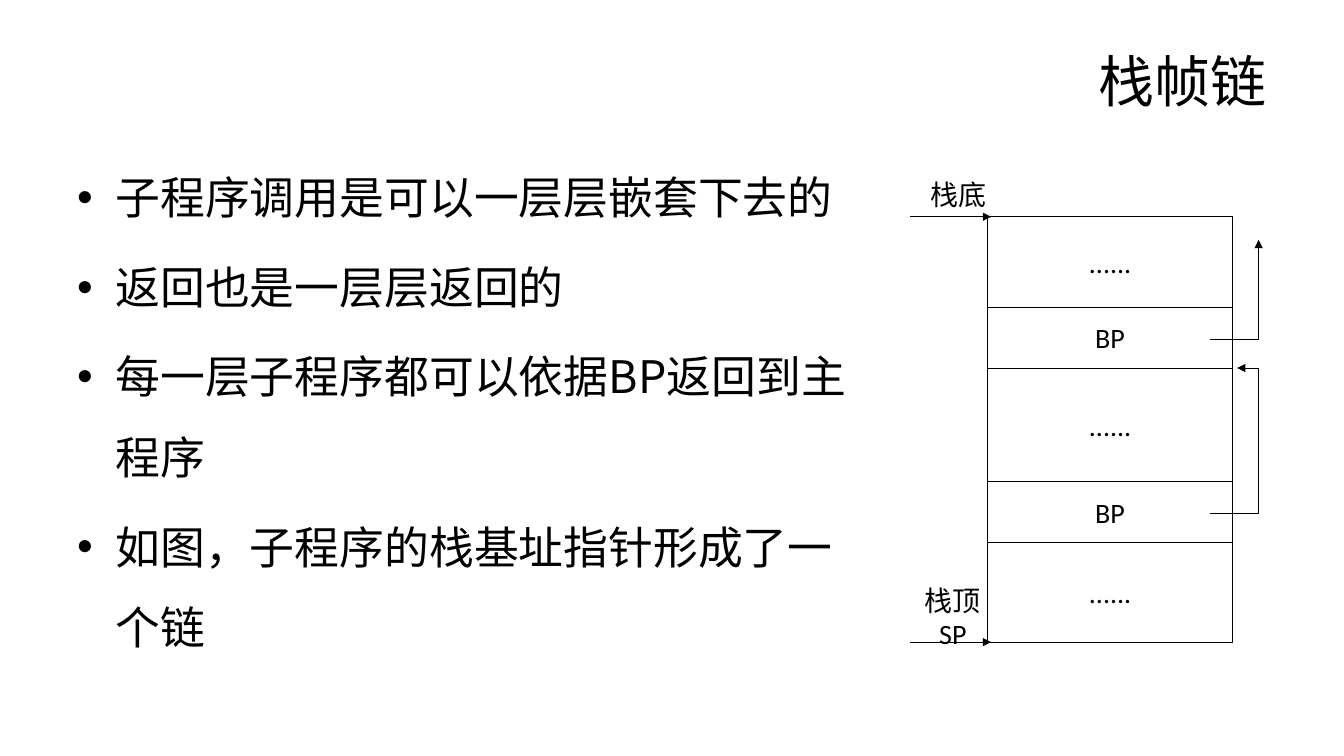
"""Builds the slide on chained stack frames."""
from lxml import etree
from pptx import Presentation
from pptx.dml.color import RGBColor
from pptx.enum.shapes import MSO_CONNECTOR, MSO_SHAPE
from pptx.enum.text import MSO_ANCHOR, PP_ALIGN
from pptx.oxml.ns import qn
from pptx.util import Emu, Inches, Pt

STRAIGHT, RECTANGLE = MSO_CONNECTOR.STRAIGHT, MSO_SHAPE.RECTANGLE
TOP, MIDDLE = MSO_ANCHOR.TOP, MSO_ANCHOR.MIDDLE
LEFT, CENTER, RIGHT = PP_ALIGN.LEFT, PP_ALIGN.CENTER, PP_ALIGN.RIGHT

BULLETS = [
    "子程序调用是可以一层层嵌套下去的",
    "返回也是一层层返回的",
    "每一层子程序都可以依据BP返回到主程序",
    "如图，子程序的栈基址指针形成了一个链",
]
FRAMES = [("......", 12), ("BP", 8), ("......", 15.07), ("BP", 8), ("......", 13.2)]
STACK_LEFT, STACK_TOP, STACK_WIDTH = 73.5, 28.67, 18.2
CHAIN_LEFT, CHAIN_RIGHT, CHAIN_TIP = 90, 93.65, 92.05
POINTER_LEFT, POINTER_RIGHT = 67.7, 73.75


def colour(value):
    """Turn a hex string into a colour."""
    return RGBColor.from_string(value)


class SlideBuilder:
    """Holds the style and the slide; lengths are percents of the slide's size."""

    ink = "000000"
    label_font, title_font, body_font = "Calibri", "Arial", "Noto Sans CJK SC"
    label_size, title_size, body_size = 20, 40, 32
    line_width = 0.5

    def __init__(self, deck):
        """Add a title-only slide to the deck."""
        self.deck = deck
        self.page = deck.slides.add_slide(deck.slide_layouts[5])

    def across(self, share):
        """Convert a percent of the slide's width."""
        return Emu(round(self.deck.slide_width * share / 100))

    def down(self, share):
        """Convert a percent of the slide's height."""
        return Emu(round(self.deck.slide_height * share / 100))

    def area(self, left, top, width, height):
        """Convert a rectangle given in percents."""
        return self.across(left), self.down(top), self.across(width), self.down(height)

    def add_span(self, para, text, font, size, align):
        """Add one styled run to a paragraph."""
        para.alignment = align
        span = para.add_run()
        span.text = text
        span.font.name, span.font.size = font, Pt(size)
        span.font.color.rgb = colour(self.ink)
        east = etree.SubElement(span.font._element, qn("a:ea"))
        east.set("typeface", self.body_font)

    def frame(self, box, anchor, inset=0):
        """Set wrapping, anchor and margins of a box and return its text frame."""
        frame = box.text_frame
        frame.word_wrap, frame.vertical_anchor = True, anchor
        frame.margin_left = frame.margin_right = Inches(inset)
        frame.margin_top = frame.margin_bottom = Inches(inset / 2)
        return frame

    def title(self, text, *area):
        """Place and fill the title placeholder."""
        box = self.page.shapes.title
        box.left, box.top, box.width, box.height = self.area(*area)
        para = self.frame(box, MIDDLE, 0.1).paragraphs[0]
        self.add_span(para, text, self.title_font, self.title_size, RIGHT)

    def bullets(self, items, *area):
        """Add a bulleted list."""
        frame = self.frame(self.page.shapes.add_textbox(*self.area(*area)), TOP, 0.1)
        for index, item in enumerate(items):
            para = frame.add_paragraph() if index else frame.paragraphs[0]
            properties = para._p.get_or_add_pPr()
            properties.set("marL", str(Inches(0.38)))
            properties.set("indent", str(-Inches(0.38)))
            etree.SubElement(properties, qn("a:buFont")).set("typeface", "Arial")
            etree.SubElement(properties, qn("a:buChar")).set("char", "•")
            para.line_spacing = 1.5
            if index:
                para.space_before = Pt(self.body_size * 0.2)
            self.add_span(para, item, self.body_font, self.body_size, LEFT)

    def label(self, text, *area):
        """Add a centred label."""
        box = self.page.shapes.add_textbox(*self.area(*area))
        para = self.frame(box, MIDDLE).paragraphs[0]
        self.add_span(para, text, self.label_font, self.label_size, CENTER)

    def cell(self, text, *area):
        """Add an outlined stack cell."""
        box = self.page.shapes.add_shape(RECTANGLE, *self.area(*area))
        box.shadow.inherit = False
        box.fill.background()
        self.outline(box)
        para = self.frame(box, MIDDLE).paragraphs[0]
        self.add_span(para, text, self.label_font, self.label_size, CENTER)

    def outline(self, shape, arrow=False):
        """Style a line, with an arrowhead at its end if asked."""
        shape.line.color.rgb = colour(self.ink)
        shape.line.width = Pt(self.line_width)
        if arrow:
            tail = etree.SubElement(shape.line._get_or_add_ln(), qn("a:tailEnd"))
            tail.set("type", "triangle")

    def pointer(self, left, right, height):
        """Add a horizontal arrow."""
        start, end, level = self.across(left), self.across(right), self.down(height)
        line = self.page.shapes.add_connector(STRAIGHT, start, level, end, level)
        self.outline(line, arrow=True)
        etree.SubElement(line._element.spPr, qn("a:effectLst"))

    def chain(self, *points):
        """Add a bent arrow through the points."""
        first, *rest = [(self.across(x), self.down(y)) for x, y in points]
        builder = self.page.shapes.build_freeform(*first)
        builder.add_line_segments(rest, close=False)
        shape = builder.convert_to_shape()
        shape.shadow.inherit = False
        shape.fill.background()
        self.outline(shape, arrow=True)


def main():
    """Build and save the deck."""
    deck = Presentation()
    deck.slide_width, deck.slide_height = Inches(13.33), Inches(7.5)
    slide = SlideBuilder(deck)
    slide.title("栈帧链", 5, 4, 90, 13.2)
    slide.bullets(BULLETS, 5, 18.27, 60.5, 72.13)

    edges = [STACK_TOP]
    for text, height in FRAMES:
        slide.cell(text, STACK_LEFT, edges[-1], STACK_WIDTH, height)
        edges.append(edges[-1] + height)

    for edge in (edges[0], edges[-1]):
        slide.pointer(POINTER_LEFT, POINTER_RIGHT, edge)
    slide.label("栈底", 68.25, 21.87, 6.2, 7.73)
    slide.label("栈顶SP", 67.8, 77.73, 6.2, 7.73)

    upper, lower = edges[1] + 4.2, edges[3] + 4.2
    slide.chain((CHAIN_LEFT, upper), (CHAIN_RIGHT, upper), (CHAIN_RIGHT, 31.73))
    slide.chain((CHAIN_LEFT, lower), (CHAIN_RIGHT, lower),
                (CHAIN_RIGHT, edges[2]), (CHAIN_TIP, edges[2]))
    deck.save("out.pptx")


if __name__ == "__main__":
    main()
